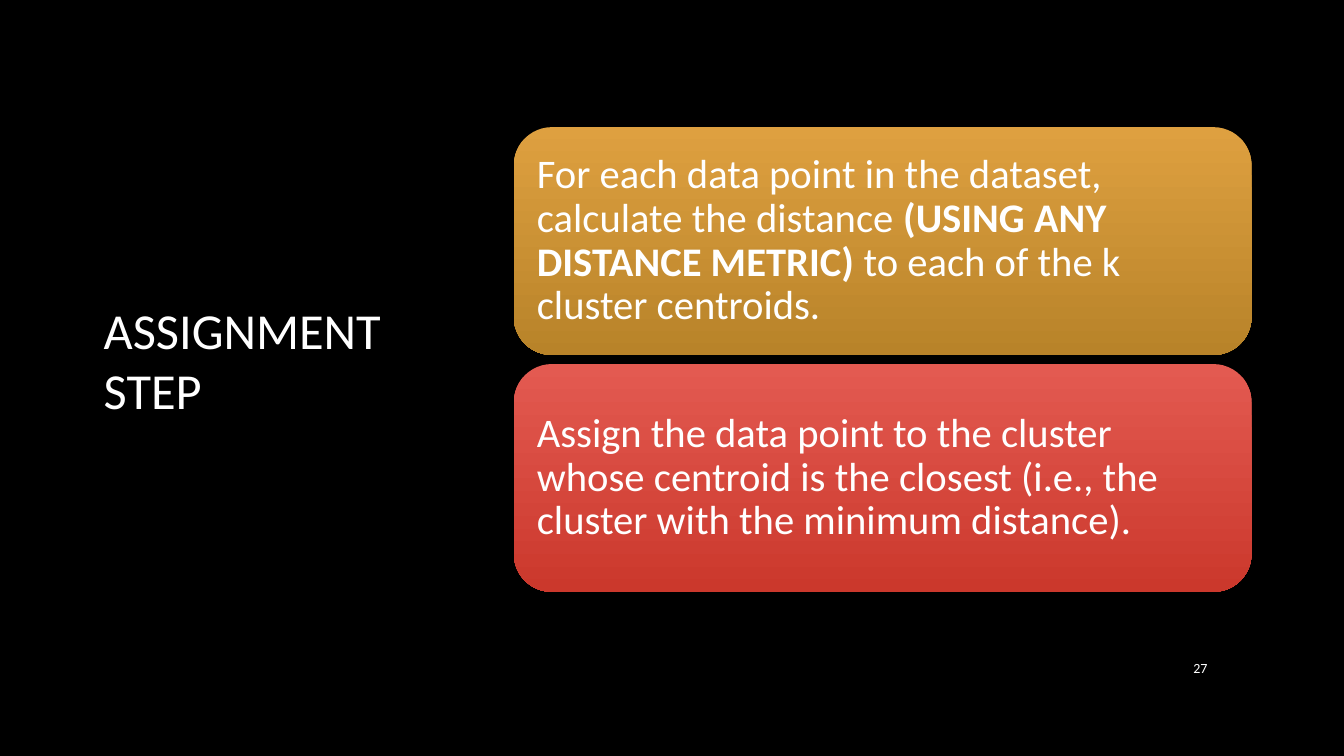
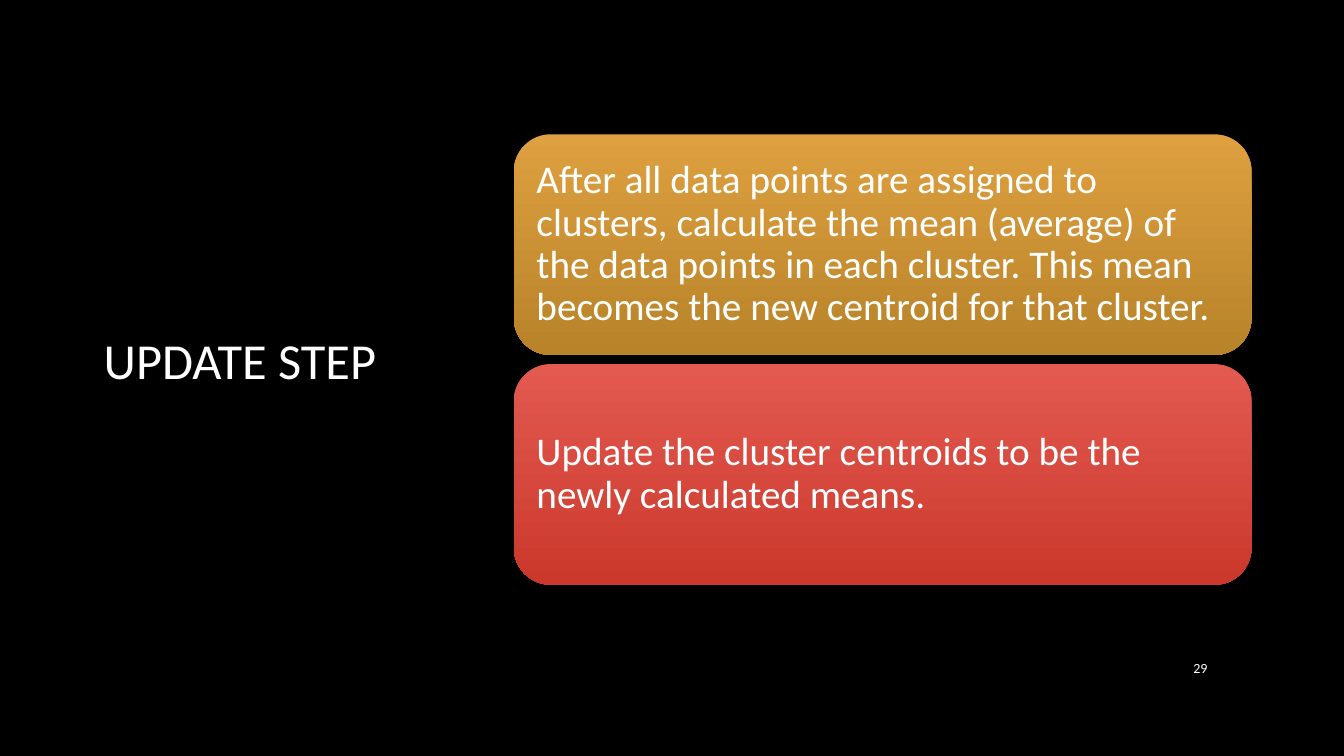
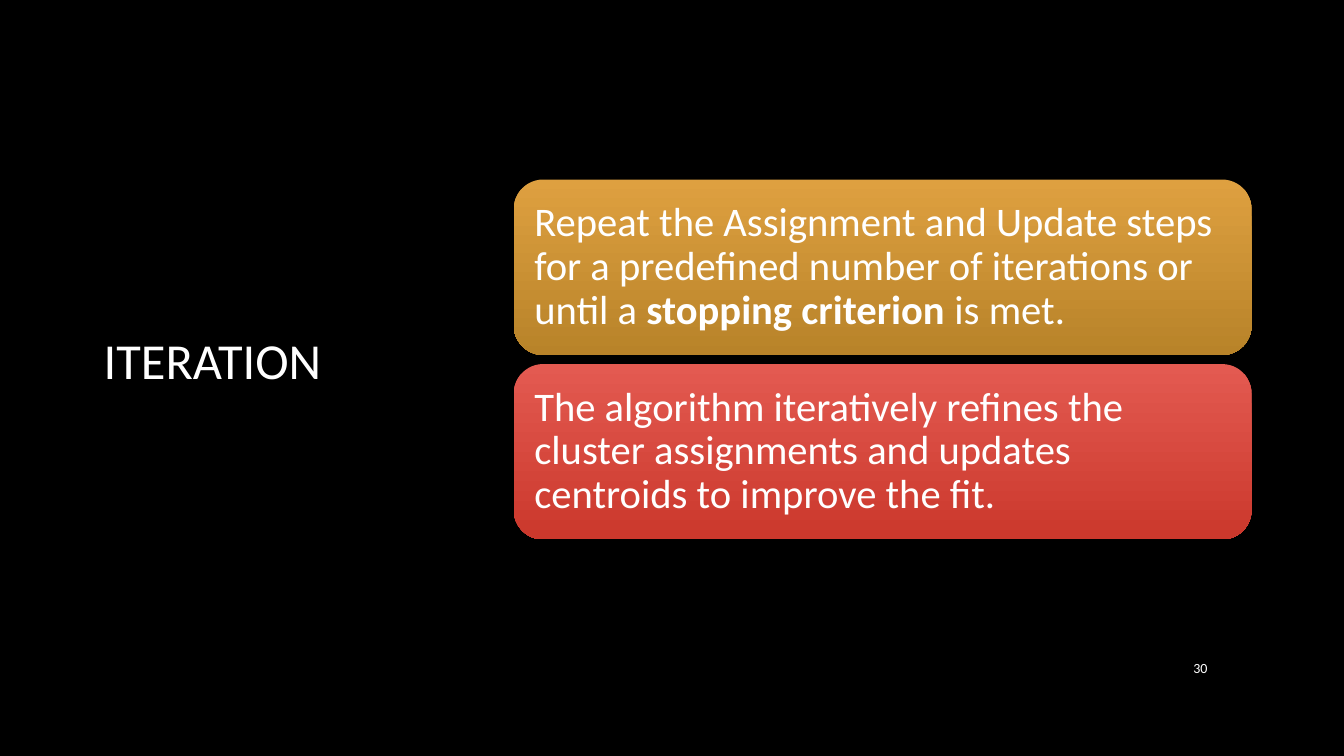
from dataclasses import dataclass

from pptx import Presentation
from pptx.dml.color import RGBColor
from pptx.enum.shapes import MSO_SHAPE
from pptx.enum.text import MSO_ANCHOR, MSO_AUTO_SIZE, PP_ALIGN
from pptx.slide import Slide
from pptx.text.text import _Paragraph as Paragraph
from pptx.util import Cm, Pt

BLACK = RGBColor(0x00, 0x00, 0x00)
WHITE = RGBColor(0xFF, 0xFF, 0xFF)
AMBER = (RGBColor(0xDE, 0xA0, 0x40), RGBColor(0xB8, 0x83, 0x29))
RED = (RGBColor(0xE3, 0x5A, 0x51), RGBColor(0xCB, 0x38, 0x2C))
FONT = "Calibri"

CARD_LEFT = Cm(12.95)
CARD_WIDTH = Cm(18.59)
CARD_GAP = Cm(0.23)
CARDS_MIDDLE = Cm(9.06)
CARD_INSET = Cm(0.3)


@dataclass(frozen=True)
class Span:
    text: str
    bold: bool = False


@dataclass(frozen=True)
class Step:
    title: str
    number: int
    card_height: Cm
    text_size: int
    cards: tuple[tuple[Span, ...], ...]


STEPS = (
    Step("ASSIGNMENT STEP", 27, Cm(5.74), 29, (
        (
            Span("For each data point in the dataset, calculate the distance "),
            Span("(USING ANY DISTANCE METRIC)", True),
            Span(" to each of the k cluster centroids."),
        ),
        (Span("Assign the data point to the cluster whose centroid is the closest "
              "(i.e., the cluster with the minimum distance)."),),
    )),
    Step("UPDATE STEP", 29, Cm(5.56), 28, (
        (Span("After all data points are assigned to clusters, calculate the mean "
              "(average) of the data points in each cluster. This mean becomes the "
              "new centroid for that cluster."),),
        (Span("Update the cluster centroids to be the newly calculated means."),),
    )),
    Step("ITERATION", 30, Cm(4.42), 29, (
        (
            Span("Repeat the Assignment and Update steps for a predefined number "
                 "of iterations or until a "),
            Span("stopping criterion ", True),
            Span("is met."),
        ),
        (Span("The algorithm iteratively refines the cluster assignments and "
              "updates centroids to improve the fit."),),
    )),
)


def format_runs(paragraph: Paragraph, size: int) -> None:
    for run in paragraph.runs:
        run.font.name = FONT
        run.font.size = Pt(size)
        run.font.color.rgb = WHITE


def add_title(page: Slide, text: str) -> None:
    title = page.shapes.title
    title.left, title.top, title.width, title.height = Cm(2.36), Cm(3.15), Cm(7.62), Cm(11.81)
    frame = title.text_frame
    frame.text = text
    frame.auto_size = MSO_AUTO_SIZE.NONE
    frame.vertical_anchor = MSO_ANCHOR.MIDDLE
    frame.paragraphs[0].alignment = PP_ALIGN.LEFT
    format_runs(frame.paragraphs[0], 36)


def add_number(page: Slide, number: int) -> None:
    box = page.shapes.add_textbox(Cm(28.78), Cm(16.33), Cm(1.9), Cm(1.02))
    frame = box.text_frame
    frame.text = str(number)
    frame.word_wrap = True
    frame.vertical_anchor = MSO_ANCHOR.MIDDLE
    frame.paragraphs[0].alignment = PP_ALIGN.RIGHT
    format_runs(frame.paragraphs[0], 10)


def add_cards(page: Slide, step: Step) -> None:
    top = CARDS_MIDDLE - CARD_GAP // 2 - step.card_height
    for spans, colours in zip(step.cards, (AMBER, RED)):
        card = page.shapes.add_shape(
            MSO_SHAPE.ROUNDED_RECTANGLE, CARD_LEFT, top, CARD_WIDTH, step.card_height
        )
        card.shadow.inherit = False
        card.line.fill.background()
        card.fill.gradient()
        card.fill.gradient_angle = 270
        for stop, colour in zip(card.fill.gradient_stops, colours):
            stop.color.rgb = colour
        frame = card.text_frame
        frame.word_wrap = True
        frame.vertical_anchor = MSO_ANCHOR.MIDDLE
        frame.margin_left = frame.margin_right = CARD_INSET
        frame.margin_top = frame.margin_bottom = CARD_INSET
        paragraph = frame.paragraphs[0]
        paragraph.alignment = PP_ALIGN.LEFT
        paragraph.line_spacing = 0.9
        for span in spans:
            run = paragraph.add_run()
            run.text = span.text
            run.font.bold = span.bold
        format_runs(paragraph, step.text_size)
        top += step.card_height + CARD_GAP


def main() -> None:
    deck = Presentation()
    deck.slide_width, deck.slide_height = Cm(33.87), Cm(19.05)
    background = deck.slide_master.background.fill
    background.solid()
    background.fore_color.rgb = BLACK
    title_only = deck.slide_layouts.get_by_name("Title Only")
    for step in STEPS:
        page = deck.slides.add_slide(title_only)
        add_title(page, step.title)
        add_number(page, step.number)
        add_cards(page, step)
    deck.save("out.pptx")


if __name__ == "__main__":
    main()
